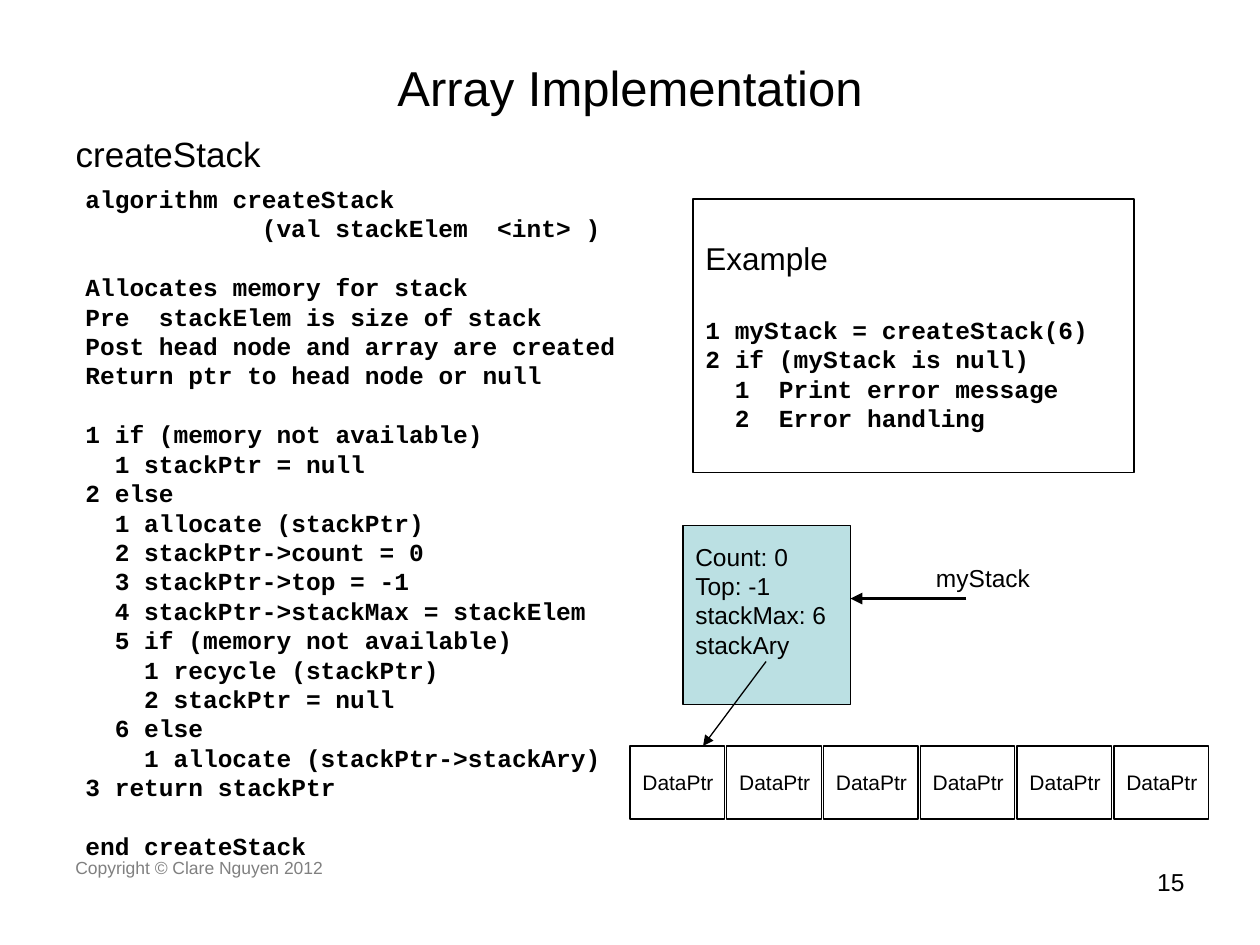
from lxml import etree
from pptx import Presentation
from pptx.dml.color import RGBColor
from pptx.enum.shapes import MSO_CONNECTOR, MSO_SHAPE
from pptx.enum.text import MSO_ANCHOR, MSO_AUTO_SIZE, PP_ALIGN
from pptx.oxml.ns import qn
from pptx.util import Inches, Pt

LEFT, CENTER, RIGHT = PP_ALIGN.LEFT, PP_ALIGN.CENTER, PP_ALIGN.RIGHT
TOP, MIDDLE = MSO_ANCHOR.TOP, MSO_ANCHOR.MIDDLE
NO_FIT = MSO_AUTO_SIZE.NONE
RECT, STRAIGHT = MSO_SHAPE.RECTANGLE, MSO_CONNECTOR.STRAIGHT

BLACK, GRAY, TEAL = "000000", "808080", "BBE0E3"

ALGORITHM = """algorithm createStack
            (val stackElem  <int> )

Allocates memory for stack
Pre  stackElem is size of stack
Post head node and array are created
Return ptr to head node or null

1 if (memory not available)
  1 stackPtr = null
2 else
  1 allocate (stackPtr)
  2 stackPtr->count = 0
  3 stackPtr->top = -1
  4 stackPtr->stackMax = stackElem
  5 if (memory not available)
    1 recycle (stackPtr)
    2 stackPtr = null
  6 else
    1 allocate (stackPtr->stackAry)
3 return stackPtr

end createStack"""

EXAMPLE = """1 myStack = createStack(6)
2 if (myStack is null)
  1  Print error message
  2  Error handling"""

HEAD_NODE = """Count: 0
Top: -1
stackMax: 6
stackAry"""


def color(value):
    return RGBColor.from_string(value)


class SlideBuilder:
    sans = "Arial"
    mono = "Courier New"
    leading = 1.2
    char_width = 0.6

    def __init__(self, slide):
        self.s = slide

    def frame(self, sp, anchor=TOP, wrap=True):
        tf = sp.text_frame
        values = {"auto_size": NO_FIT, "word_wrap": wrap, "vertical_anchor": anchor}
        for name, value in values.items():
            setattr(tf, name, value)
        return tf

    def paragraph(self, tf, text, size, align=LEFT, font=None, rgb=BLACK,
                  bold=False, before=0, indent=0):
        p = tf.paragraphs[0] if not tf.text else tf.add_paragraph()
        values = {"alignment": align, "space_before": Pt(before),
                  "line_spacing": Pt(size * self.leading)}
        for name, value in values.items():
            setattr(p, name, value)
        pPr = p._p.get_or_add_pPr()
        pPr.set("marL", str(Pt(indent)))
        pPr.set("indent", "0")
        etree.SubElement(pPr, qn("a:buNone"))
        r = p.add_run()
        r.text = text
        values = {"name": font or self.sans, "size": Pt(size), "bold": bold}
        for name, value in values.items():
            setattr(r.font, name, value)
        r.font.color.rgb = color(rgb)

    def code(self, tf, source, size=14, before=0):
        for line in source.splitlines():
            text = line.lstrip()
            if not text:
                before = size * self.leading
                continue
            indent = (len(line) - len(text)) * size * self.char_width
            self.paragraph(tf, text, size, font=self.mono, bold=True,
                           before=before, indent=indent)
            before = 0

    def placeholder(self, sp, box, text, size, anchor=TOP, **fmt):
        sp.left, sp.top, sp.width, sp.height = map(Inches, box)
        self.paragraph(self.frame(sp, anchor), text, size, **fmt)

    def textbox(self, box, anchor=TOP):
        return self.frame(self.s.shapes.add_textbox(*map(Inches, box)), anchor)

    def box(self, box, fill=None, shapes=None):
        sp = (shapes or self.s.shapes).add_shape(RECT, *map(Inches, box))
        sp.shadow.inherit = False
        if fill:
            sp.fill.solid()
            sp.fill.fore_color.rgb = color(fill)
        else:
            sp.fill.background()
        sp.line.color.rgb = color(BLACK)
        sp.line.width = Pt(0.75)
        return self.frame(sp, MIDDLE, wrap=False)

    def arrow(self, start, end, width):
        cx = self.s.shapes.add_connector(STRAIGHT, *map(Inches, start + end))
        cx.line.color.rgb = color(BLACK)
        cx.line.width = Pt(width)
        etree.SubElement(cx.line._get_or_add_ln(), qn("a:tailEnd"), type="triangle")
        etree.SubElement(cx._element.spPr, qn("a:effectLst"))


def main():
    prs = Presentation()
    prs.slide_width, prs.slide_height = Inches(10), Inches(7.5)
    s = prs.slides.add_slide(prs.slide_layouts[1])
    b = SlideBuilder(s)

    b.paragraph(b.textbox((0.5, 6.75, 3.17, 0.52)),
                "Copyright © Clare Nguyen 2012", 10, rgb=GRAY)
    b.paragraph(b.textbox((7.17, 6.83, 2.33, 0.52)), "15", 14, align=RIGHT)
    b.placeholder(s.shapes.title, (0.5, 0.3, 9, 0.78), "Array Implementation", 28,
                  anchor=MIDDLE, align=CENTER)
    b.placeholder(s.placeholders[1], (0.5, 1, 9, 4.95), "createStack", 20, before=5)

    b.code(b.textbox((0.58, 1.41, 4.5, 5.47), MIDDLE), ALGORITHM)

    example = b.box((5.5, 1.58, 3.5, 2.17))
    b.paragraph(example, "Example", 18)
    b.code(example, EXAMPLE, before=18 * b.leading)

    b.paragraph(b.textbox((7.33, 4.42, 1.11, 0.34)), "myStack", 14)
    head = b.box((5.42, 4.17, 1.33, 1.42), TEAL)
    head.margin_bottom = Inches(0.28)
    for field in HEAD_NODE.splitlines():
        b.paragraph(head, field, 14)
    b.arrow((6.08, 5.25), (5.58, 5.92), 0.75)

    array = s.shapes.add_group_shape()
    cell_width, pitch = 0.75, (8.84 - 5) / 5
    for i in range(6):
        cell = b.box((5 + i * pitch, 5.92, cell_width, 0.58), shapes=array.shapes)
        b.paragraph(cell, "DataPtr", 12)
    b.arrow((7.67, 4.75), (6.75, 4.75), 2.25)

    prs.save("out.pptx")


if __name__ == "__main__":
    main()
